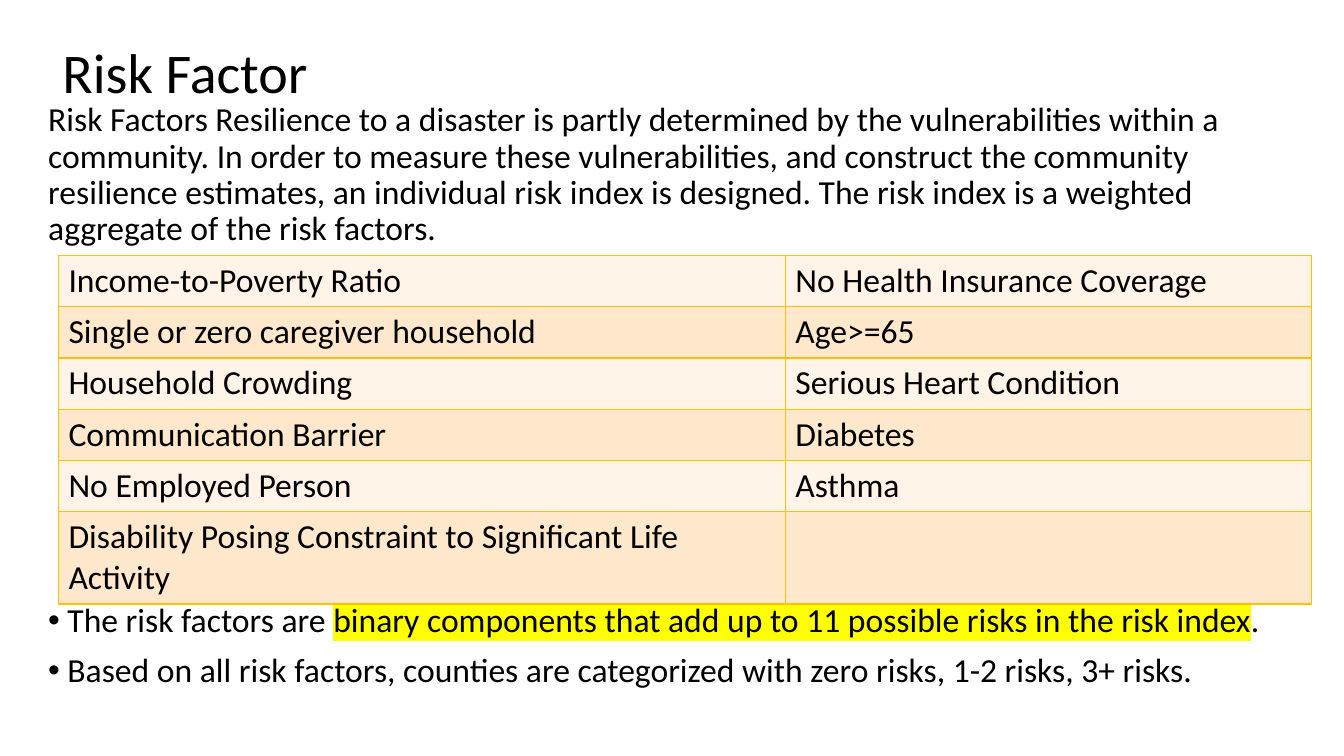
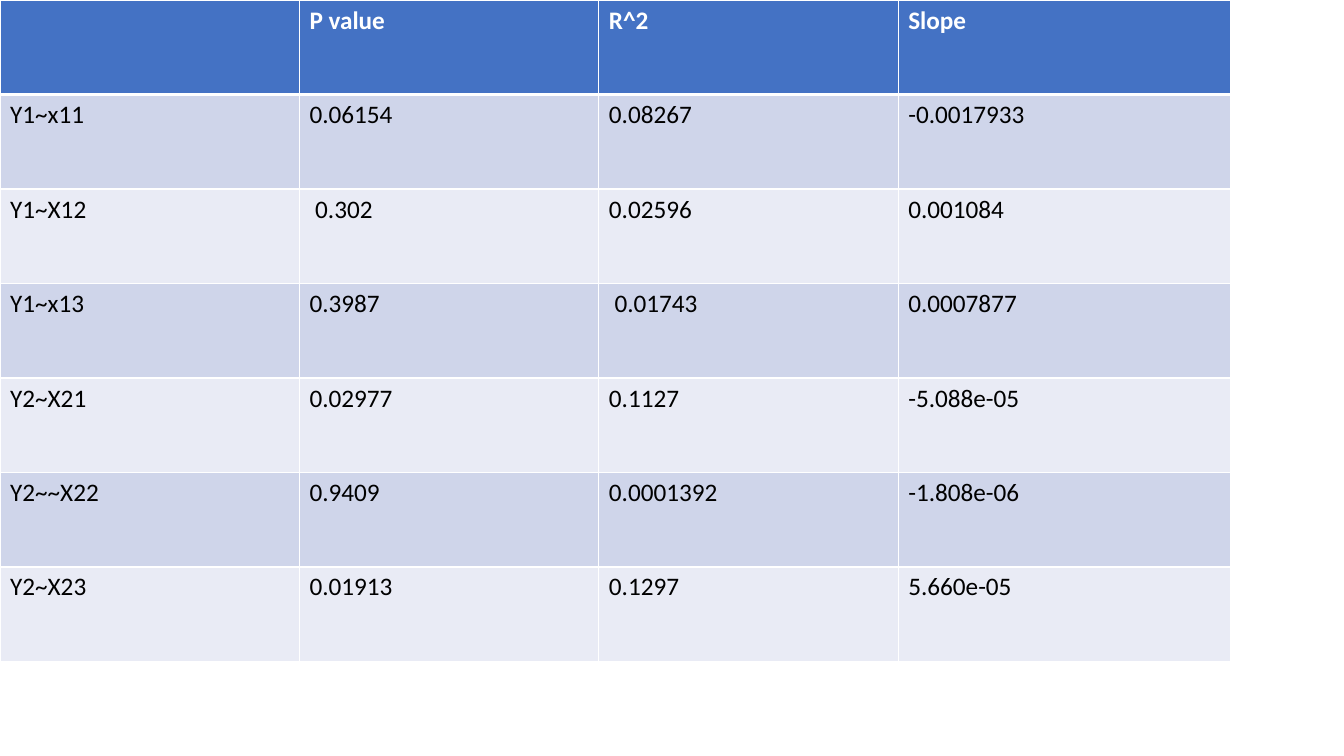
from lxml import etree
from pptx import Presentation
from pptx.dml.color import RGBColor
from pptx.enum.text import MSO_ANCHOR, PP_ALIGN
from pptx.oxml.ns import qn
from pptx.util import Inches, Pt

LEFT, BOTTOM = PP_ALIGN.LEFT, MSO_ANCHOR.BOTTOM
TITLE_ONLY, BLANK = 5, 6
WIDTH, HEIGHT = Inches(13.33), Inches(7.5)
FONT = "Calibri"
COLORS = {
    "text": "000000", "white": "FFFFFF", "highlight": "FFFF00",
    "amber": "FFC000", "cream": "FFF4E7", "peach": "FFE8CC",
    "blue": "4472C4", "blue_mid": "CFD5EA", "blue_pale": "E9EBF5",
}

INTRO = (
    "Risk Factors Resilience to a disaster is partly determined by the "
    "vulnerabilities within a community. In order to measure these "
    "vulnerabilities, and construct the community resilience estimates, an "
    "individual risk index is designed. The risk index is a weighted "
    "aggregate of the risk factors."
)
BULLETS = [
    [("The risk factors are ", False),
     ("binary components that add up to 11 possible risks in the risk index", True),
     (".", False)],
    [("Based on all risk factors, counties are categorized with zero risks, "
      "1-2 risks, 3+ risks.", False)],
]
RISK_FACTORS = [
    ("Income-to-Poverty Ratio", "No Health Insurance Coverage"),
    ("Single or zero caregiver household", "Age>=65"),
    ("Household Crowding", "Serious Heart Condition"),
    ("Communication Barrier", "Diabetes"),
    ("No Employed Person", "Asthma"),
    ("Disability Posing Constraint to Significant Life Activity", ""),
]
REGRESSIONS = [
    ("", "P value", "R^2", "Slope"),
    ("Y1~x11", "0.06154", "0.08267", "-0.0017933"),
    ("Y1~X12", " 0.302", "0.02596", "0.001084"),
    ("Y1~x13", "0.3987", " 0.01743", "0.0007877"),
    ("Y2~X21", "0.02977", "0.1127", "-5.088e-05"),
    ("Y2~~X22", "0.9409", "0.0001392", "-1.808e-06"),
    ("Y2~X23", "0.01913", "0.1297", "5.660e-05"),
]


def box(left, top, width, height):
    """Turn percentages of the slide into lengths."""
    return (int(WIDTH * left / 100), int(HEIGHT * top / 100),
            int(WIDTH * width / 100), int(HEIGHT * height / 100))


def rgb(name):
    return RGBColor.from_string(COLORS[name])


def style_run(r, size, color="text", bold=False):
    r.font.name, r.font.size, r.font.bold = FONT, Pt(size), bold
    r.font.color.rgb = rgb(color)


def highlight(r):
    mark = etree.Element(qn("a:highlight"))
    etree.SubElement(mark, qn("a:srgbClr"), val=COLORS["highlight"])
    r.font._element.find(qn("a:solidFill")).addnext(mark)


def add_title(slide, text, area):
    sp = slide.shapes.title
    sp.left, sp.top, sp.width, sp.height = area
    tf = sp.text_frame
    tf.text = text
    tf.vertical_anchor, tf.margin_bottom = BOTTOM, Inches(0.1)
    p = tf.paragraphs[0]
    p.alignment, p.line_spacing = LEFT, 0.9
    style_run(p.runs[0], 40)


def add_body(slide, intro, bullets, area, table_gap):
    """Intro on top, then bullets below a gap that leaves room for the table."""
    tf = slide.shapes.add_textbox(*area).text_frame
    tf.word_wrap = True
    p = tf.paragraphs[0]
    p.text, p.line_spacing = intro, 0.9
    style_run(p.runs[0], 24)
    for i, parts in enumerate(bullets):
        p = tf.add_paragraph()
        pPr = p._p.get_or_add_pPr()
        pPr.set("marL", str(Inches(0.19)))
        pPr.set("indent", str(-Inches(0.19)))
        etree.SubElement(pPr, qn("a:buFont"), typeface="Arial")
        etree.SubElement(pPr, qn("a:buChar"), char="•")
        p.line_spacing = 0.9
        p.space_before = Pt(10 if i else table_gap)
        for text, marked in parts:
            r = p.add_run()
            r.text = text
            style_run(r, 24)
            if marked:
                highlight(r)


def set_borders(cell, color, top=1, bottom=1):
    tcPr = cell._tc.get_or_add_tcPr()
    for side, width in (("L", 1), ("R", 1), ("T", top), ("B", bottom)):
        ln = etree.SubElement(tcPr, qn(f"a:ln{side}"), w=str(Pt(width)))
        fill = etree.SubElement(ln, qn("a:solidFill"))
        etree.SubElement(fill, qn("a:srgbClr"), val=COLORS[color])


def add_grid(slide, rows, area, col_shares, row_shares, size, bands, border,
             header=None):
    """Banded table; header names the fill of an optional heading row."""
    left, top, width, height = area
    table = slide.shapes.add_table(len(rows), len(col_shares), *area).table
    table.first_row, table.horz_banding = bool(header), False
    for col, share in zip(table.columns, col_shares):
        col.width = int(width * share / sum(col_shares))
    for row, share in zip(table.rows, row_shares):
        row.height = int(height * share / sum(row_shares))
    for i, values in enumerate(rows):
        heading = bool(header) and i == 0
        for j, value in enumerate(values):
            cell = table.cell(i, j)
            set_borders(cell, border, top=3 if header and i == 1 else 1,
                        bottom=3 if heading else 1)
            cell.fill.solid()
            cell.fill.fore_color.rgb = rgb(header if heading else bands[i % 2])
            cell.text = value
            for r in cell.text_frame.paragraphs[0].runs:
                style_run(r, size, "white" if heading else "text", heading)


def risk_factor_slide(prs):
    slide = prs.slides.add_slide(prs.slide_layouts[TITLE_ONLY])
    add_title(slide, "Risk Factor", box(3.9, -1.07, 86.25, 16.4))
    add_body(slide, INTRO, BULLETS, box(2.85, 12.93, 96.25, 87.07), table_gap=254)
    add_grid(slide, RISK_FACTORS, box(4.35, 33.8, 93.25, 46.1),
             col_shares=(58, 42), row_shares=(5, 5, 5, 5, 5, 9), size=24,
             bands=("cream", "peach"), border="amber")


def regression_slide(prs):
    slide = prs.slides.add_slide(prs.slide_layouts[BLANK])
    add_grid(slide, REGRESSIONS, box(0, 0, 91.6, 87.5),
             col_shares=(9, 9, 9, 10), row_shares=[1] * len(REGRESSIONS), size=18,
             bands=("blue_pale", "blue_mid"), border="white", header="blue")


def main():
    prs = Presentation()
    prs.slide_width, prs.slide_height = WIDTH, HEIGHT
    risk_factor_slide(prs)
    regression_slide(prs)
    prs.save("out.pptx")


if __name__ == "__main__":
    main()
